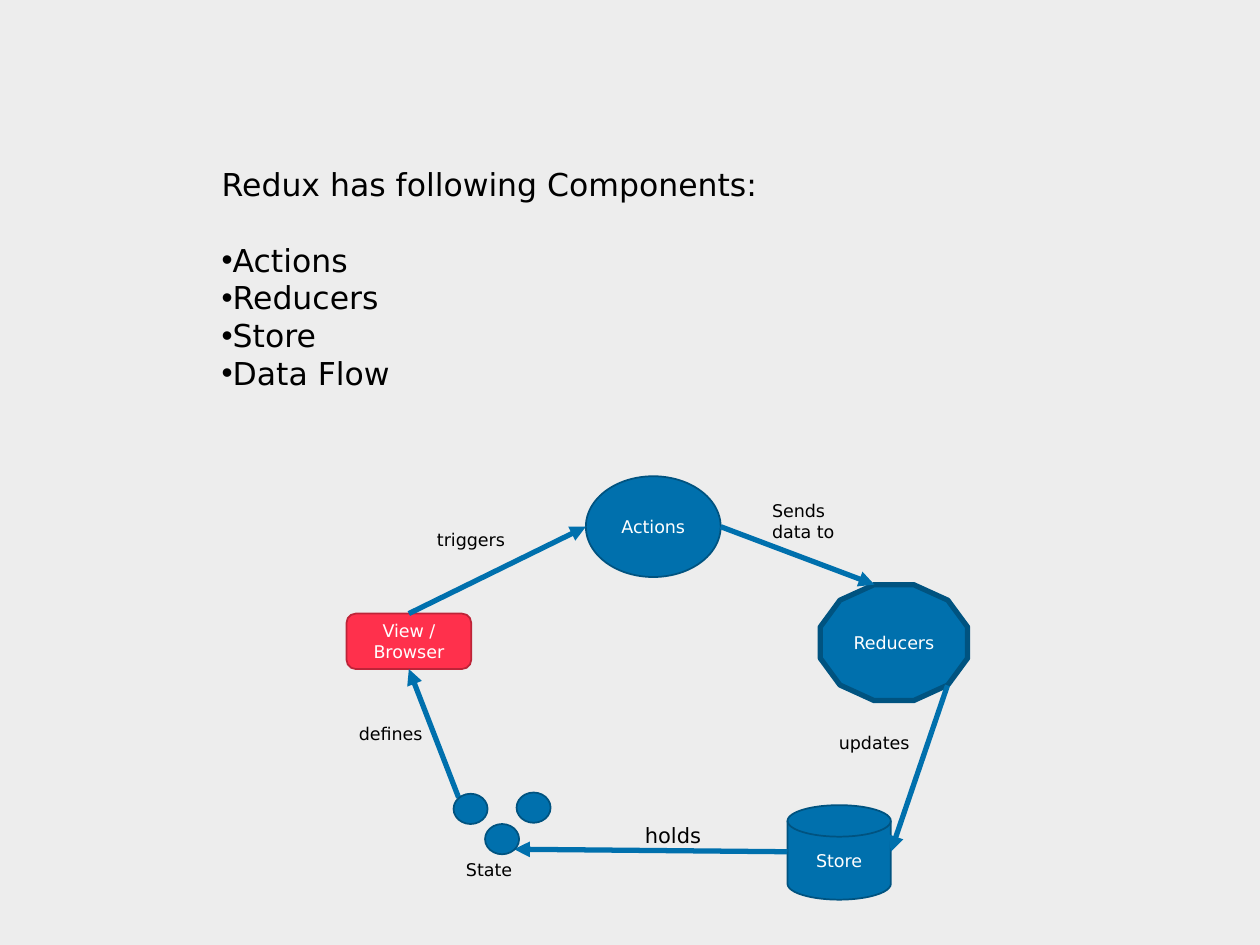
from lxml.etree import SubElement
from pptx import Presentation
from pptx.dml.color import RGBColor
from pptx.enum.shapes import MSO_CONNECTOR, MSO_SHAPE
from pptx.enum.text import MSO_ANCHOR, MSO_AUTO_SIZE, PP_ALIGN
from pptx.oxml.ns import qn
from pptx.util import Inches, Pt

COLORS = {
    "background": "EDEDED",
    "text": "000000",
    "node_text": "FFFFFF",
    "blue": "0070AD",
    "blue_edge": "005380",
    "red": "FF304C",
    "red_edge": "BD2438",
}
FONT = "DejaVu Sans"
WIDTH, HEIGHT = Inches(10), Inches(7.5)
CELL = WIDTH / 100


def color(name):
    return RGBColor.from_string(COLORS[name])


def grid(*cells):
    return [round(cell * CELL) for cell in cells]


def within(box, left, top, *size):
    return grid(box[0] + left, box[1] + top, *size)


def style(paragraph, size, color_name, align=PP_ALIGN.LEFT):
    paragraph.alignment = align
    paragraph.font.name = FONT
    paragraph.font.size = Pt(size)
    paragraph.font.color.rgb = color(color_name)


def add_node(slide, box, kind, place, wording="", fill="blue", edge="blue_edge", weight=1):
    node = slide.shapes.add_shape(kind, *within(box, *place))
    node.shadow.inherit = False
    node.fill.solid()
    node.fill.fore_color.rgb = color(fill)
    node.line.color.rgb = color(edge)
    node.line.width = Pt(weight)
    if wording:
        frame = node.text_frame
        frame.word_wrap = True
        frame.vertical_anchor = MSO_ANCHOR.MIDDLE
        frame.text = wording
        style(frame.paragraphs[0], 10, "node_text", PP_ALIGN.CENTER)
    return node


def add_label(slide, box, wording, place, size=10):
    frame = slide.shapes.add_textbox(*within(box, *place)).text_frame
    frame.word_wrap = True
    frame.auto_size = MSO_AUTO_SIZE.SHAPE_TO_FIT_TEXT
    frame.text = wording
    style(frame.paragraphs[0], size, "text")


def add_arrow(slide, box, start, end):
    arrow = slide.shapes.add_connector(
        MSO_CONNECTOR.STRAIGHT, *within(box, *start), *within(box, *end)
    )
    arrow.line.color.rgb = color("blue")
    arrow.line.width = Pt(3)
    SubElement(arrow.line._get_or_add_ln(), qn("a:tailEnd"), type="triangle")
    SubElement(arrow._element.spPr, qn("a:effectLst"))
    return arrow


def add_components(slide, box):
    left, top, width, height = box
    heading_height = 6
    heading, components = slide.shapes.title, slide.placeholders[1]
    regions = (
        (heading, top, heading_height, ["Redux has following Components:"]),
        (components, top + heading_height, height - heading_height,
         ["Actions", "Reducers", "Store", "Data Flow"]),
    )
    for region, region_top, region_height, lines in regions:
        region.left, region.top, region.width, region.height = grid(
            left, region_top, width, region_height
        )
        frame = region.text_frame
        frame.word_wrap = True
        frame.auto_size = MSO_AUTO_SIZE.NONE
        frame.vertical_anchor = MSO_ANCHOR.TOP
        frame.text = "\n".join(lines)
        for paragraph in frame.paragraphs:
            style(paragraph, 18, "text")
            paragraph.space_before = Pt(0)
    for paragraph in components.text_frame.paragraphs:
        properties = paragraph._p.get_or_add_pPr()
        properties.set("marL", "0")
        properties.set("indent", "0")
        SubElement(properties, qn("a:buChar"), char="•")


def add_data_flow(slide, box):
    view = add_node(slide, box, MSO_SHAPE.ROUNDED_RECTANGLE, (0, 10.9, 9.9, 4.4),
                    "View / Browser", "red", "red_edge")
    add_node(slide, box, MSO_SHAPE.FLOWCHART_MAGNETIC_DISK, (35, 26.1, 8.2, 7.5), "Store")
    add_node(slide, box, MSO_SHAPE.FLOWCHART_CONNECTOR, (19, 0, 10.7, 8), "Actions")
    add_node(slide, box, MSO_SHAPE.DODECAGON, (37.6, 8.6, 11.7, 9.2), "Reducers", weight=3)

    defines = add_arrow(slide, box, (8.9, 25.5), (4.95, 15.3))
    defines.end_connect(view, 2)
    triggers = add_arrow(slide, box, (4.95, 10.9), (19, 4))
    triggers.begin_connect(view, 0)
    add_arrow(slide, box, (35, 29.8), (13.3, 29.6))
    add_arrow(slide, box, (47.7, 16.6), (43.2, 29.8))
    add_arrow(slide, box, (29.7, 4), (41.9, 8.6))

    for column, state_top in enumerate((25.2, 27.6, 25.1)):
        add_node(slide, box, MSO_SHAPE.OVAL, (8.5 + 2.5 * column, state_top, 2.7, 2.4))

    add_label(slide, box, "defines", (0, 19.1, 7.3, 1.9))
    add_label(slide, box, "State", (8.5, 29.9, 6.7, 2.7))
    add_label(slide, box, "holds", (22.7, 27, 7.4, 2.1), 12)
    add_label(slide, box, "Sends data to", (32.8, 1.4, 7.4, 4.2))
    add_label(slide, box, "updates", (38.1, 19.8, 9.6, 1.9))
    add_label(slide, box, "triggers", (6.2, 3.7, 7.4, 1.9))


def main():
    presentation = Presentation()
    presentation.slide_width, presentation.slide_height = WIDTH, HEIGHT
    slide = presentation.slides.add_slide(presentation.slide_layouts[1])
    slide.background.fill.solid()
    slide.background.fill.fore_color.rgb = color("background")
    add_components(slide, (16.6, 12.6, 50, 19.2))
    add_data_flow(slide, (27.5, 37.8))
    presentation.save("out.pptx")


if __name__ == "__main__":
    main()
